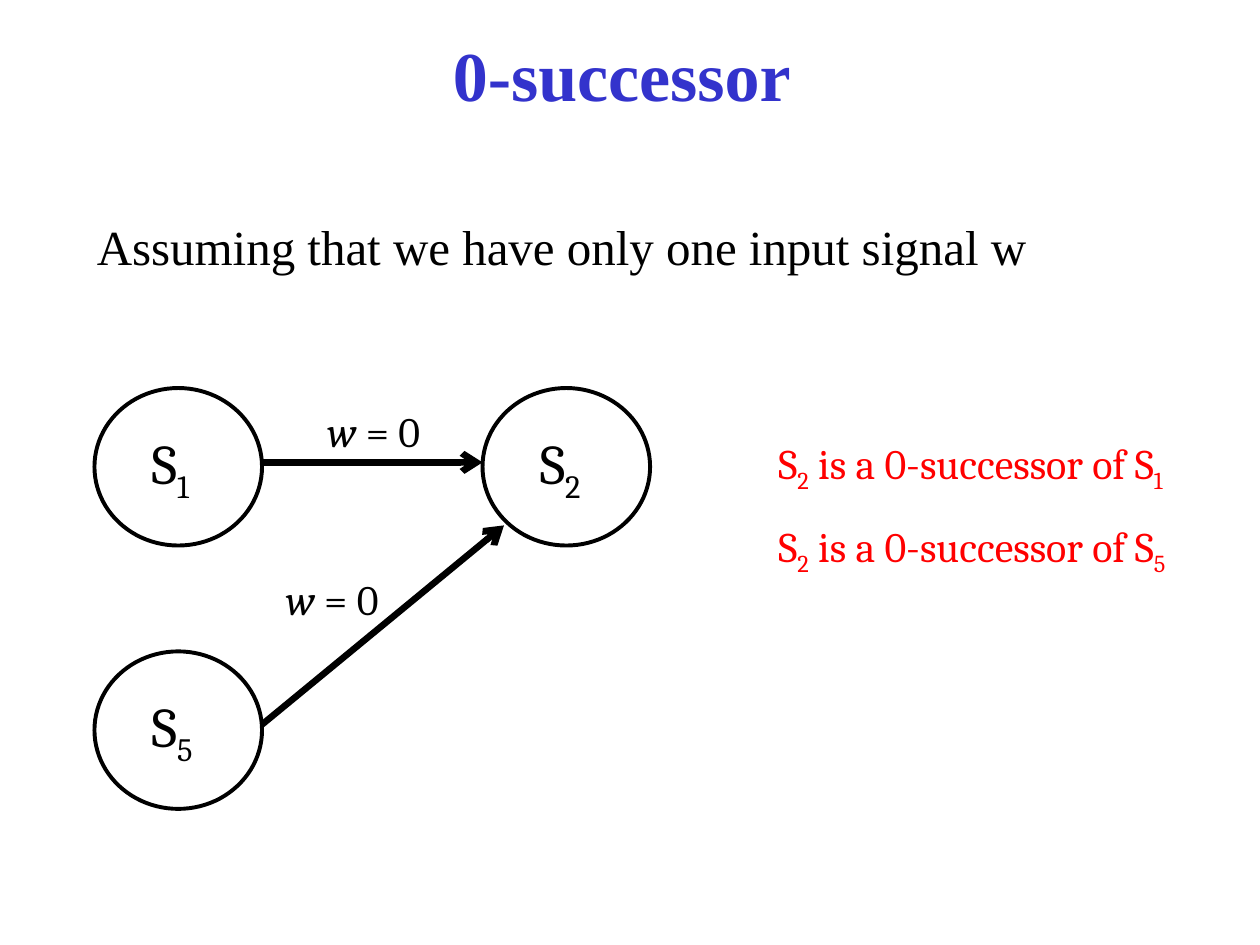
from lxml import etree
from pptx import Presentation
from pptx import util as u
from pptx.dml.color import RGBColor
from pptx.enum import shapes, text
from pptx.oxml.ns import qn

THEME = {
    "serif": "Times New Roman", "label": "Cambria",
    "blue": RGBColor(0x33, 0x33, 0xCC), "red": RGBColor(255, 0, 0),
    "black": RGBColor(0, 0, 0), "white": RGBColor(255, 255, 255),
    "title": 40, "body": 28, "state": 32, "small": 24,
    "outline": 2.25, "arrow": 3.75,
}

TITLE = "0-successor "
ASSUMPTION = "Assuming that we have only one input signal w"
STATE_SIZE = (1.33, 1.25)
STATES = [("1", 0.75, 3.08), ("2", 3.83, 3.08), ("5", 0.75, 5.17)]
TRANSITIONS = [((2.08, 3.67), (3.83, 3.67)), ((2.08, 5.75), (4, 4.17))]
CONDITIONS = [(2.5, 3.17), (2.17, 4.5)]
CONCLUSIONS = [("1", 3.42), ("5", 4.08)]


def write(frame, pieces, size, color, font):
    para = frame.paragraphs[0]
    for words, style in pieces:
        span = para.add_run()
        span.text = words
        span.font.size = u.Pt(size)
        span.font.name = font
        span.font.color.rgb = color
        span.font.bold = style == "bold"
        span.font.italic = style == "italic"
        if style == "sub":
            span._r.get_or_add_rPr().set("baseline", "-25000")
    return para


def add_text(page, place, pieces, size, color, font, wrap=False):
    box = page.shapes.add_textbox(*map(u.Inches, place))
    frame = box.text_frame
    frame.word_wrap = wrap
    if not wrap:
        frame.auto_size = text.MSO_AUTO_SIZE.SHAPE_TO_FIT_TEXT
    return frame, write(frame, pieces, size, color, font)


def add_state(page, number, left, top):
    state = page.shapes.add_shape(
        shapes.MSO_SHAPE.OVAL, *map(u.Inches, (left, top, *STATE_SIZE)))
    state.shadow.inherit = False
    state.fill.solid()
    state.fill.fore_color.rgb = THEME["white"]
    state.line.color.rgb = THEME["black"]
    state.line.width = u.Pt(THEME["outline"])
    frame = state.text_frame
    frame.word_wrap = False
    frame.vertical_anchor = text.MSO_ANCHOR.MIDDLE
    frame.margin_left = u.Inches(0.26)
    frame.margin_right = 0
    para = write(frame, [("S", None), (number, "sub")],
                 THEME["state"], THEME["black"], THEME["label"])
    para.alignment = text.PP_ALIGN.LEFT


def add_transition(page, start, end):
    arrow = page.shapes.add_connector(
        shapes.MSO_CONNECTOR.STRAIGHT, *map(u.Inches, (*start, *end)))
    arrow.line.color.rgb = THEME["black"]
    arrow.line.width = u.Pt(THEME["arrow"])
    etree.SubElement(arrow.line._get_or_add_ln(), qn("a:tailEnd"), type="arrow")
    etree.SubElement(arrow._element.spPr, qn("a:effectLst"))


def main():
    deck = Presentation()
    deck.slide_width, deck.slide_height = u.Inches(10), u.Inches(7.5)
    page = deck.slides.add_slide(deck.slide_layouts[6])

    frame, para = add_text(page, (0.25, 0.25, 9.5, 0.67), [(TITLE, "bold")],
                           THEME["title"], THEME["blue"], THEME["serif"], True)
    frame.vertical_anchor = text.MSO_ANCHOR.MIDDLE
    para.alignment = text.PP_ALIGN.CENTER

    _, para = add_text(page, (0.67, 1.67, 8.67, 0.67), [(ASSUMPTION, None)],
                       THEME["body"], THEME["black"], THEME["serif"], True)
    para.space_before = u.Pt(0.2 * THEME["body"])

    for state in STATES:
        add_state(page, *state)
    for start, end in TRANSITIONS:
        add_transition(page, start, end)
    for left, top in CONDITIONS:
        add_text(page, (left, top, 0.98, 0.5), [("w", "italic"), (" = 0", None)],
                 THEME["small"], THEME["black"], THEME["label"])
    for number, top in CONCLUSIONS:
        pieces = [("S", None), ("2", "sub"),
                  (" is a 0-successor of S", None), (number, "sub")]
        add_text(page, (6.08, top, 3.5, 0.51), pieces,
                 THEME["small"], THEME["red"], THEME["label"])

    deck.save("out.pptx")


if __name__ == "__main__":
    main()
